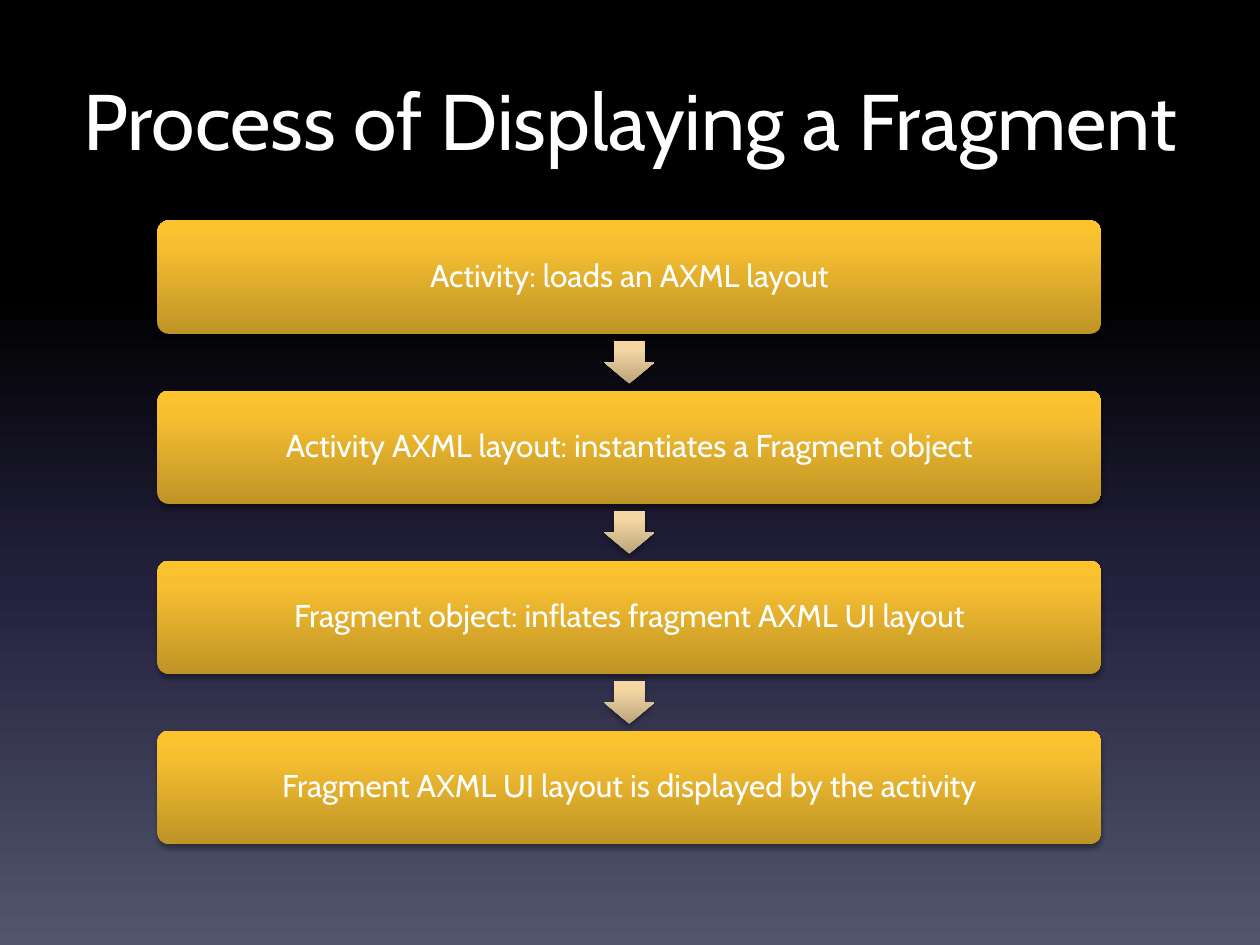
import pptx
import pptx.dml.color
import pptx.enum.shapes
import pptx.enum.text
import pptx.oxml.ns
import pptx.util
from lxml import etree

Inches = pptx.util.Inches
Pt = pptx.util.Pt
qn = pptx.oxml.ns.qn
MSO_SHAPE = pptx.enum.shapes.MSO_SHAPE
ANCHOR = pptx.enum.text.MSO_ANCHOR

COLORS = {
    "text": "FFFFFF", "shadow": "000000",
    "sky": "000000", "dusk": "24213E", "horizon": "51566D",
    "gold_dark": "BF9426", "gold": "F8C031", "gold_light": "FDC32D",
    "sand_dark": "BBA57D", "sand": "F3D6A3", "sand_light": "F6D7A2",
}
# Gradient stops: percent and colour name
BACKDROP = [(0, "sky"), (31, "sky"), (62, "dusk"), (100, "horizon")]
GOLD = [(0, "gold_dark"), (80, "gold"), (100, "gold_light")]
SAND = [(0, "sand_dark"), (80, "sand"), (100, "sand_light")]

STEPS = [
    "Activity: loads an AXML layout",
    "Activity AXML layout: instantiates a Fragment object",
    "Fragment object: inflates fragment AXML UI layout",
    "Fragment AXML UI layout is displayed by the activity",
]


def apply(target, values):
    for name, value in values.items():
        setattr(target, name, value)


class ProcessSlide:
    font_name = "Cabin"

    def __init__(self, slide):
        self.slide = slide

    def background(self, stops):
        self.gradient(self.slide.background.fill, self.slide.element, stops, 270)

    def gradient(self, fill, element, stops, angle):
        fill.gradient()
        fill.gradient_angle = angle
        stop_list = next(element.iter(qn("a:gsLst")))
        for default_stop in list(stop_list):
            stop_list.remove(default_stop)
        for percent, color in stops:
            stop = etree.SubElement(stop_list, qn("a:gs"), pos=str(percent * 1000))
            etree.SubElement(stop, qn("a:srgbClr"), val=COLORS[color])

    def shadow(self, shape):
        shape.shadow.inherit = False
        effects = shape.element.spPr.find(qn("a:effectLst"))
        outer = etree.SubElement(
            effects, qn("a:outerShdw"), blurRad=str(Pt(3.1)), dist=str(Pt(1.8)),
            dir="5400000", rotWithShape="0")
        tint = etree.SubElement(outer, qn("a:srgbClr"), val=COLORS["shadow"])
        etree.SubElement(tint, qn("a:alpha"), val="35000")

    def label(self, shape, text, size, frame_format, line_spacing=1.0):
        frame = shape.text_frame
        apply(frame, {"word_wrap": True, **frame_format})
        paragraph = frame.paragraphs[0]
        paragraph.text = text
        apply(paragraph, {"alignment": pptx.enum.text.PP_ALIGN.CENTER,
                          "line_spacing": line_spacing})
        font = paragraph.runs[0].font
        apply(font, {"name": self.font_name, "size": Pt(size)})
        font.color.rgb = pptx.dml.color.RGBColor.from_string(COLORS["text"])

    def title(self, text, left, top, width, height):
        box = self.slide.shapes.add_textbox(
            Inches(left), Inches(top), Inches(width), Inches(height))
        self.label(box, text, 45, {"vertical_anchor": ANCHOR.TOP,
                                   "margin_top": Inches(0.07)})

    def block(self, kind, left, top, width, height, adjustments, stops):
        shape = self.slide.shapes.add_shape(
            kind, Inches(left), Inches(top), Inches(width), Inches(height))
        for index, value in enumerate(adjustments):
            shape.adjustments[index] = value
        self.gradient(shape.fill, shape.element, stops, 90)
        shape.line.fill.background()
        self.shadow(shape)
        return shape

    def step(self, text, left, top, width, height):
        card = self.block(MSO_SHAPE.ROUNDED_RECTANGLE, left, top, width, height,
                          [0.1], GOLD)
        margins = dict.fromkeys(
            ["margin_left", "margin_top", "margin_right", "margin_bottom"], Inches(0.07))
        self.label(card, text, 18, {"vertical_anchor": ANCHOR.MIDDLE, **margins}, 0.9)

    def arrow(self, left, top, width, height):
        self.block(MSO_SHAPE.DOWN_ARROW, left, top, width, height, [0.6, 0.5], SAND)


def main():
    deck = pptx.Presentation()
    apply(deck, {"slide_width": Inches(10), "slide_height": Inches(7.5)})
    page = ProcessSlide(deck.slides.add_slide(deck.slide_layouts[6]))

    # Backdrop and heading
    page.background(BACKDROP)
    page.title("Process of Displaying a Fragment", 0.5, 0.5, 9, 1.25)

    # Steps, with an arrow centred in each gap
    step_left, first_top, step_width, step_height, pitch = 1.25, 1.75, 7.49, 0.9, 1.35
    arrow_width, arrow_height = 0.4, 0.34
    arrow_left = step_left + (step_width - arrow_width) / 2
    arrow_offset = (step_height + pitch - arrow_height) / 2
    for index, text in enumerate(STEPS):
        top = first_top + index * pitch
        page.step(text, step_left, top, step_width, step_height)
        if index < len(STEPS) - 1:
            page.arrow(arrow_left, top + arrow_offset, arrow_width, arrow_height)

    deck.save("out.pptx")


if __name__ == "__main__":
    main()
